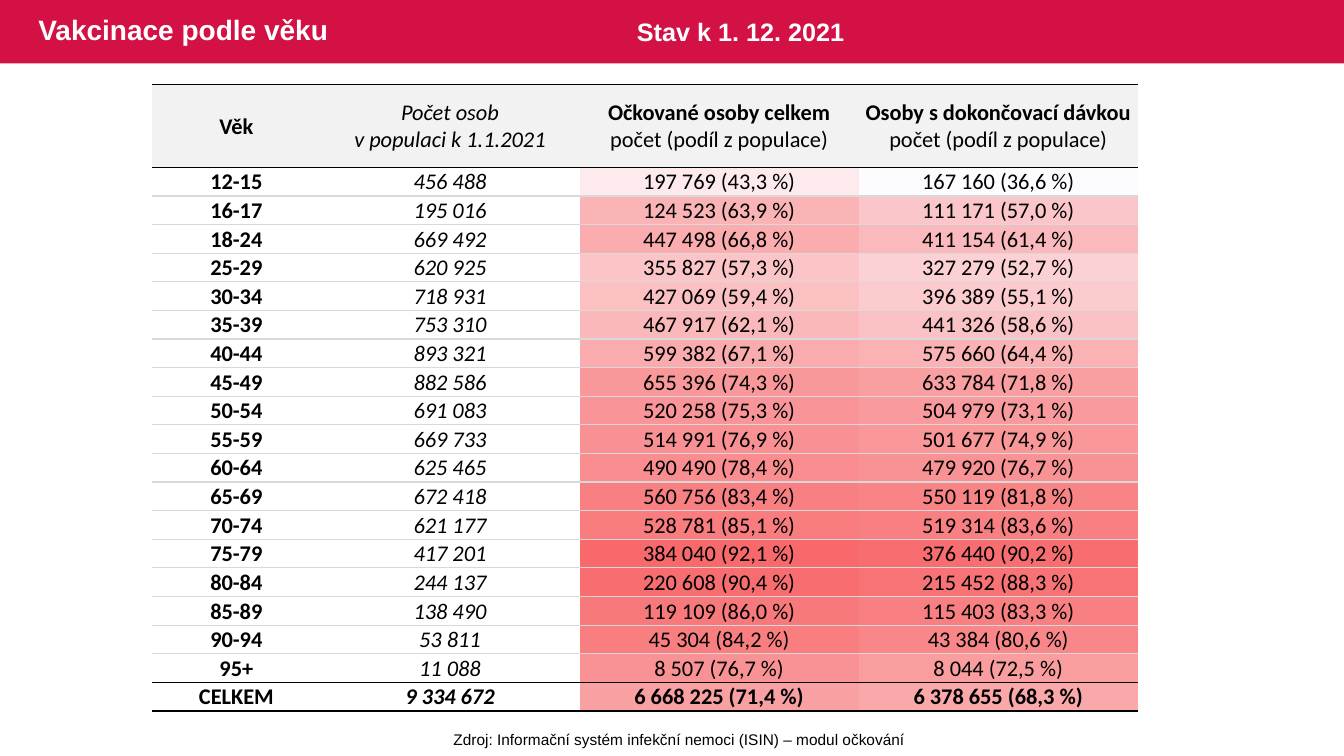
from dataclasses import astuple, dataclass

from lxml.etree import SubElement
from pptx import Presentation
from pptx.dml.color import RGBColor as Rgb
from pptx.enum.shapes import MSO_SHAPE as Shape
from pptx.enum.text import MSO_ANCHOR as Anchor, MSO_AUTO_SIZE as AutoSize, PP_ALIGN as Align
from pptx.oxml.ns import qn
from pptx.util import Pt

COLORS = {
    "banner": "D31145", "white": "FFFFFF", "black": "000000",
    "header": "F2F2F2", "grid": "D9D9D9", "heat_low": "FCFCFF", "heat_high": "F8696B",
}
PLAIN_TABLE_STYLE = "{2D5ABB26-0587-4C30-8999-92F81FD0307C}"
COLUMN_WIDTHS = [120.24, 185.04, 199.4, 199.4]
HEADER_HEIGHT, ROW_HEIGHT = 59.04, 20.46
TABLE_LEFT, TABLE_TOP = 108.72, 60.48


@dataclass
class AgeGroup:
    age: str
    population: str
    vaccinated: str
    completed: str


HEADER = AgeGroup(
    "Věk",
    "Počet osob\nv populaci k 1.1.2021",
    "Očkované osoby celkem\npočet (podíl z populace)",
    "Osoby s dokončovací dávkou\npočet (podíl z populace)",
)
AGE_GROUPS = [
    AgeGroup("12-15", "456 488", "197 769 (43,3 %)", "167 160 (36,6 %)"),
    AgeGroup("16-17", "195 016", "124 523 (63,9 %)", "111 171 (57,0 %)"),
    AgeGroup("18-24", "669 492", "447 498 (66,8 %)", "411 154 (61,4 %)"),
    AgeGroup("25-29", "620 925", "355 827 (57,3 %)", "327 279 (52,7 %)"),
    AgeGroup("30-34", "718 931", "427 069 (59,4 %)", "396 389 (55,1 %)"),
    AgeGroup("35-39", "753 310", "467 917 (62,1 %)", "441 326 (58,6 %)"),
    AgeGroup("40-44", "893 321", "599 382 (67,1 %)", "575 660 (64,4 %)"),
    AgeGroup("45-49", "882 586", "655 396 (74,3 %)", "633 784 (71,8 %)"),
    AgeGroup("50-54", "691 083", "520 258 (75,3 %)", "504 979 (73,1 %)"),
    AgeGroup("55-59", "669 733", "514 991 (76,9 %)", "501 677 (74,9 %)"),
    AgeGroup("60-64", "625 465", "490 490 (78,4 %)", "479 920 (76,7 %)"),
    AgeGroup("65-69", "672 418", "560 756 (83,4 %)", "550 119 (81,8 %)"),
    AgeGroup("70-74", "621 177", "528 781 (85,1 %)", "519 314 (83,6 %)"),
    AgeGroup("75-79", "417 201", "384 040 (92,1 %)", "376 440 (90,2 %)"),
    AgeGroup("80-84", "244 137", "220 608 (90,4 %)", "215 452 (88,3 %)"),
    AgeGroup("85-89", "138 490", "119 109 (86,0 %)", "115 403 (83,3 %)"),
    AgeGroup("90-94", "53 811", "45 304 (84,2 %)", "43 384 (80,6 %)"),
    AgeGroup("95+", "11 088", "8 507 (76,7 %)", "8 044 (72,5 %)"),
    AgeGroup("CELKEM", "9 334 672", "6 668 225 (71,4 %)", "6 378 655 (68,3 %)"),
]


def share(entry: str) -> float:
    """Percentage in brackets, as a number."""
    return float(entry.split("(")[1].split(" ")[0].replace(",", "."))


def heat_color(value: float, lowest: float, highest: float) -> Rgb:
    """Colour on the scale between the lowest and the highest share."""
    ratio = (value - lowest) / (highest - lowest)
    low, high = (Rgb.from_string(COLORS[name]) for name in ("heat_low", "heat_high"))
    return Rgb(*(round(a + (b - a) * ratio) for a, b in zip(low, high)))


def format_runs(paragraph, font: str, size: float, color: str,
                bold: bool = False, italic: bool = False) -> None:
    for run in paragraph.runs:
        run.font.name, run.font.size = font, Pt(size)
        run.font.bold, run.font.italic = bold, italic
        run.font.color.rgb = Rgb.from_string(COLORS[color])


def add_border(cell, side: str, color: str) -> None:
    line = SubElement(cell._tc.get_or_add_tcPr(), qn(f"a:{side}"), w=str(Pt(1)))
    fill = SubElement(line, qn("a:solidFill"))
    SubElement(fill, qn("a:srgbClr"), val=COLORS[color])


def add_plain_table(slide, left: float, top: float, widths: list[float], heights: list[float]):
    table = slide.shapes.add_table(
        len(heights), len(widths), Pt(left), Pt(top), Pt(sum(widths)), Pt(sum(heights))
    ).table
    table.first_row = table.horz_banding = False
    table._tbl.tblPr.find(qn("a:tableStyleId")).text = PLAIN_TABLE_STYLE
    for column, width in zip(table.columns, widths):
        column.width = Pt(width)
    for row, height in zip(table.rows, heights):
        row.height = Pt(height)
    for cell in table.iter_cells():
        cell.margin_left = cell.margin_right = cell.margin_top = Pt(0.75)
        cell.margin_bottom = 0
        cell.vertical_anchor = Anchor.MIDDLE
    return table


def add_heat_table(slide) -> None:
    table = add_plain_table(slide, TABLE_LEFT + sum(COLUMN_WIDTHS[:2]), TABLE_TOP + HEADER_HEIGHT,
                            COLUMN_WIDTHS[2:], [ROW_HEIGHT] * len(AGE_GROUPS))
    shares = [[share(group.vaccinated), share(group.completed)] for group in AGE_GROUPS]
    lowest, highest = min(map(min, shares)), max(map(max, shares))
    for row, values in zip(table.rows, shares):
        for cell, value in zip(row.cells, values):
            cell.fill.solid()
            cell.fill.fore_color.rgb = heat_color(value, lowest, highest)
            # Small empty lines keep the rows at their set height
            SubElement(cell.text_frame.paragraphs[0]._p, qn("a:endParaRPr"), sz="800")


def add_age_table(slide) -> None:
    groups = [HEADER, *AGE_GROUPS]
    total = len(groups) - 1
    table = add_plain_table(slide, TABLE_LEFT, TABLE_TOP, COLUMN_WIDTHS,
                            [HEADER_HEIGHT] + [ROW_HEIGHT] * total)
    for r, group in enumerate(groups):
        for c, entry in enumerate(astuple(group)):
            cell = table.cell(r, c)
            add_border(cell, "lnT", "black" if r in (0, 1, total) else "grid")
            add_border(cell, "lnB", "black" if r in (0, total - 1, total) else "grid")
            if r == 0:
                cell.fill.solid()
                cell.fill.fore_color.rgb = Rgb.from_string(COLORS["header"])
            else:
                cell.fill.background()
            cell.text_frame.text = entry
            for n, paragraph in enumerate(cell.text_frame.paragraphs):
                paragraph.alignment = Align.CENTER
                heading = r == 0 and c >= 2 and n == 0
                format_runs(paragraph, "Calibri", 16, "black",
                            bold=c == 0 or r == total or heading, italic=c == 1)


def add_label(slide, text: str, box: tuple[float, float, float, float], size: float,
              color: str, bold: bool, align: Align, wrap: bool) -> None:
    frame = slide.shapes.add_textbox(*map(Pt, box)).text_frame
    frame.word_wrap = wrap
    frame.auto_size = AutoSize.SHAPE_TO_FIT_TEXT
    frame.text = text
    frame.paragraphs[0].alignment = align
    format_runs(frame.paragraphs[0], "Arial", size, color, bold)


def main() -> None:
    deck = Presentation()
    deck.slide_width, deck.slide_height = Pt(960), Pt(540)
    slide = deck.slides.add_slide(deck.slide_layouts[5])

    # Banner, behind the title
    banner = slide.shapes.add_shape(Shape.RECTANGLE, 0, 0, Pt(960), Pt(45.36))
    banner.shadow.inherit = False
    banner.fill.solid()
    banner.fill.fore_color.rgb = Rgb.from_string(COLORS["banner"])
    banner.line.fill.background()
    slide.shapes._spTree.insert(2, banner._element)

    # Title
    title = slide.shapes.title
    title.left, title.top, title.width, title.height = Pt(20.16), 0, Pt(585.36), Pt(45.36)
    title.text_frame.text = "Vakcinace podle věku"
    title.text_frame.auto_size = AutoSize.NONE
    title.text_frame.vertical_anchor = Anchor.MIDDLE
    heading = title.text_frame.paragraphs[0]
    heading.alignment, heading.line_spacing = Align.LEFT, 0.9
    format_runs(heading, "Arial", 20, "white", bold=True)

    # Colour scale below the figures, then the figures
    add_heat_table(slide)
    add_age_table(slide)

    # Source and date
    add_label(slide, "Zdroj: Informační systém infekční nemoci (ISIN) – modul očkování",
              (316.08, 517.68, 338.4, 20.88), 11, "black", False, Align.CENTER, False)
    add_label(slide, "Stav k 1. 12. 2021",
              (447.84, 7.92, 186.48, 28.8), 18, "white", True, Align.LEFT, True)

    deck.save("out.pptx")


if __name__ == "__main__":
    main()
